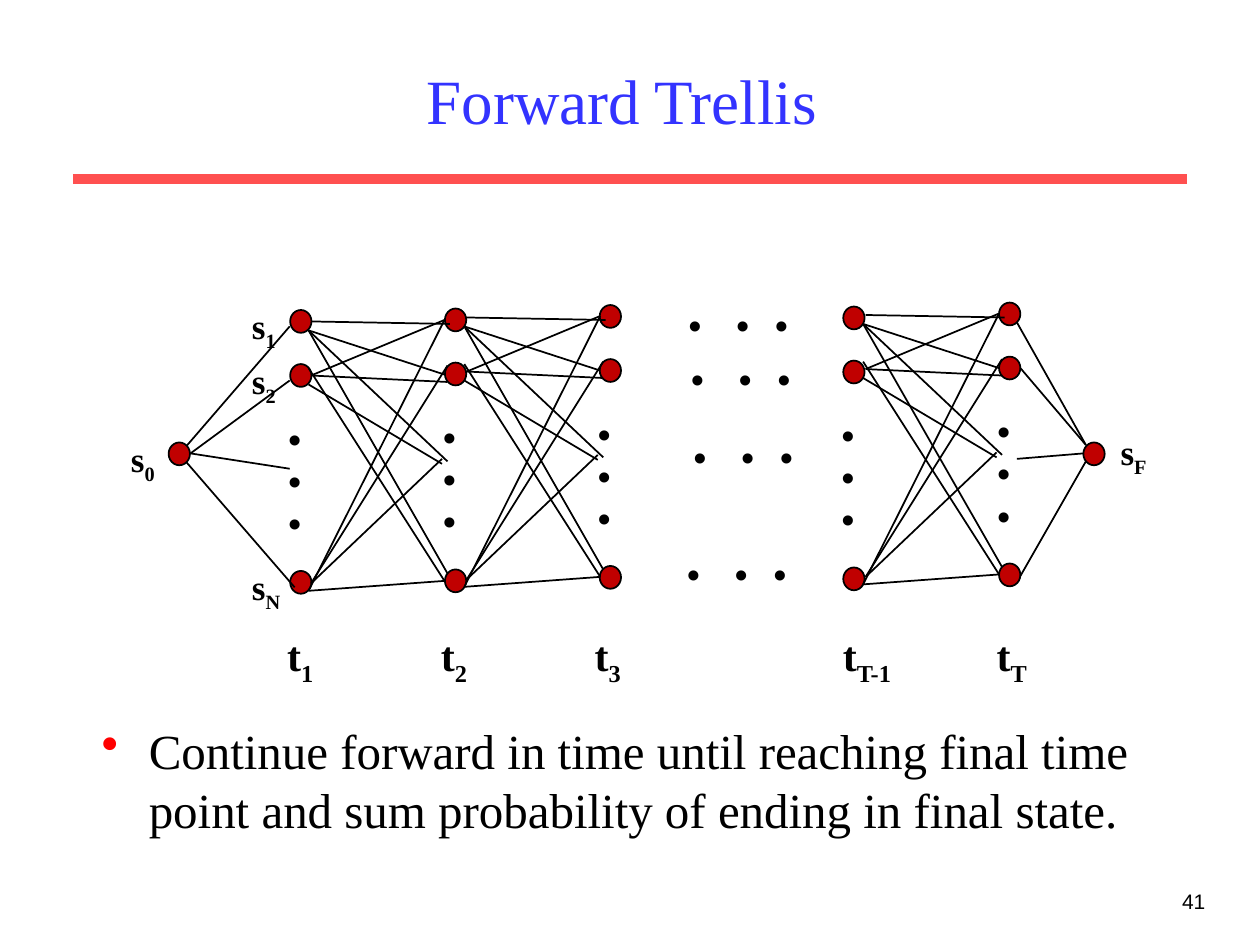
from lxml import etree
from pptx import Presentation
from pptx.dml.color import RGBColor
from pptx.enum.shapes import MSO_CONNECTOR as Connector, MSO_SHAPE as Shape
from pptx.enum.text import MSO_ANCHOR as Anchor, MSO_AUTO_SIZE as AutoSize, PP_ALIGN as Align
from pptx.oxml.ns import qn
from pptx.util import Cm, Pt

COLORS = {"title": "3333FF", "rule": "FF5050", "node": "C00000",
          "ink": "000000", "bullet": "FF0000"}
SERIF, SANS = "Times New Roman", "Arial"
DOT = "•"

COLUMNS = [(5.85, 6.25), (8.97, 6.22), (12.09, 6.15), (17, 6.18), (20.14, 6.1)]
ROW_OFFSETS = [0, 1.09, 5.26]
END_NODES = [(3.4, 8.92), (21.84, 8.92)]
FAN_ORIGINS = [(5.84, 6.25), (8.98, 6.17), (17.02, 6.12)]
FAN = [
    (0.43, 0.23, 3.23, 0.28), (0.38, 0.41, 3.12, 1.3), (0.38, 0.41, 3.18, 5.31),
    (0.38, 0.41, 3.18, 3.05), (0.43, 1.32, 3.12, 0.2), (0.43, 1.32, 3.18, 1.45),
    (0.38, 1.17, 3.12, 5.46), (0.38, 5.66, 3.12, 0.2), (0.43, 5.51, 3.18, 1.12),
    (0.38, 5.66, 3.12, 5.46), (0.43, 5.51, 3.07, 3), (0.38, 1.5, 3.07, 3.1),
]
END_EDGES = [
    (3.76, 8.99, 5.84, 6.58), (3.84, 9.14, 5.84, 7.67),
    (3.84, 9.14, 5.84, 9.45), (3.76, 9.32, 5.94, 11.84),
    (20.5, 6.5, 21.89, 8.97), (20.57, 7.42, 21.89, 8.97),
    (20.5, 9.25, 21.84, 9.14), (20.57, 11.61, 21.89, 9.3),
]
STATES = [("0", 2.39, 8.69, 1.05), ("1", 4.83, 6.02, 1.05), ("2", 4.83, 7.12, 1.05),
          ("N", 4.83, 11.28, 1.15), ("F", 22.34, 8.56, 1.1)]
TIMES = [("1", 5.54, 1.1), ("2", 8.64, 1.1), ("3", 11.74, 1.1),
         ("T-1", 16.74, 1.6), ("T", 19.84, 1.2)]
DOT_ROWS = [(13.64, 5.99), (13.69, 7.09), (13.74, 8.66), (13.61, 11.02)]


def color(name):
    return RGBColor.from_string(COLORS[name])


def style(font, size, name=SERIF, tint="ink", bold=False):
    font.size, font.name, font.bold = Pt(size), name, bold
    font.color.rgb = color(tint)


def add_text(page, text, left, top, width, height, size, name=SERIF,
             tint="ink", bold=False, wrap=True):
    box = page.shapes.add_textbox(Cm(left), Cm(top), Cm(width), Cm(height))
    frame = box.text_frame
    frame.text = text
    frame.word_wrap = wrap
    if not wrap:
        frame.auto_size = AutoSize.SHAPE_TO_FIT_TEXT
    for para in frame.paragraphs:
        for span in para.runs:
            style(span.font, size, name, tint, bold)
    return frame


def add_label(page, letter, index, left, top, width, height, size):
    frame = add_text(page, letter, left, top, width, height, size,
                     bold=True, wrap=False)
    span = frame.paragraphs[0].add_run()
    span.text = index
    style(span.font, size, bold=True)
    span.font._element.set("baseline", "-25000")


def add_dot_row(page, left, top):
    frame = add_text(page, "", left, top, 2.62, 1.12, 20)
    para = frame.paragraphs[0]
    tabs = etree.SubElement(para._p.get_or_add_pPr(), qn("a:tabLst"))
    for stop in (0.96, 1.74):
        etree.SubElement(tabs, qn("a:tab"), pos=str(Cm(stop)), algn="l")
    span = para.add_run()
    span.text = "\t".join([DOT] * 3)
    style(span.font, 20, SANS, bold=True)


def add_line(page, x1, y1, x2, y2, tint="ink", weight=1):
    line = page.shapes.add_connector(Connector.STRAIGHT, Cm(x1), Cm(y1), Cm(x2), Cm(y2))
    line.line.color.rgb = color(tint)
    line.line.width = Pt(weight)
    etree.SubElement(line._element.spPr, qn("a:effectLst"))


def add_node(page, left, top):
    node = page.shapes.add_shape(Shape.OVAL, Cm(left), Cm(top), Cm(0.43), Cm(0.46))
    node.shadow.inherit = False
    node.fill.solid()
    node.fill.fore_color.rgb = color("node")
    node.line.color.rgb = color("ink")
    node.line.width = Pt(1)


def add_column(page, left, top):
    for offset in ROW_OFFSETS:
        add_node(page, left, top + offset)
    add_text(page, "\n".join([DOT] * 3), left - 0.28, top + 2.04, 0.79, 2.79,
             20, SANS, bold=True, wrap=False)


def add_fan(page, left, top):
    for x1, y1, x2, y2 in FAN:
        add_line(page, left + x1, top + y1, left + x2, top + y2)


def add_bullet(page, text):
    frame = add_text(page, text, 1.8, 14.4, 21.59, 4.65, 28)
    props = frame.paragraphs[0]._p.get_or_add_pPr()
    props.set("marL", str(Cm(0.95)))
    props.set("indent", str(Cm(-0.95)))
    tint = etree.SubElement(props, qn("a:buClr"))
    etree.SubElement(tint, qn("a:srgbClr"), val=COLORS["bullet"])
    etree.SubElement(props, qn("a:buChar"), char=DOT)


def main():
    deck = Presentation()
    deck.slide_width, deck.slide_height = Cm(25.4), Cm(19.05)
    page = deck.slides.add_slide(deck.slide_layouts[6])

    add_line(page, 1.47, 3.61, 23.93, 3.61, "rule", 6)
    title = add_text(page, "Forward Trellis ", 1.9, 0.64, 21.59, 2.74, 36, tint="title")
    title.vertical_anchor = Anchor.MIDDLE
    title.paragraphs[0].alignment = Align.CENTER
    number = add_text(page, "41", 19.27, 17.78, 5.28, 1.27, 12, SANS)
    number.paragraphs[0].alignment = Align.RIGHT

    for left, top in COLUMNS:
        add_column(page, left, top)
    for left, top in END_NODES:
        add_node(page, left, top)
    for index, left, top, width in STATES:
        add_label(page, "s", index, left, top, width, 1.22, 20)
    for left, top in FAN_ORIGINS:
        add_fan(page, left, top)
    for left, top in DOT_ROWS:
        add_dot_row(page, left, top)
    for index, left, width in TIMES:
        add_label(page, "t", index, left, 12.57, width, 1.42, 24)
    for edge in END_EDGES:
        add_line(page, *edge)
    add_bullet(page, "Continue forward in time until reaching final time point "
                     "and sum probability of ending in final state.")
    deck.save("out.pptx")


if __name__ == "__main__":
    main()
